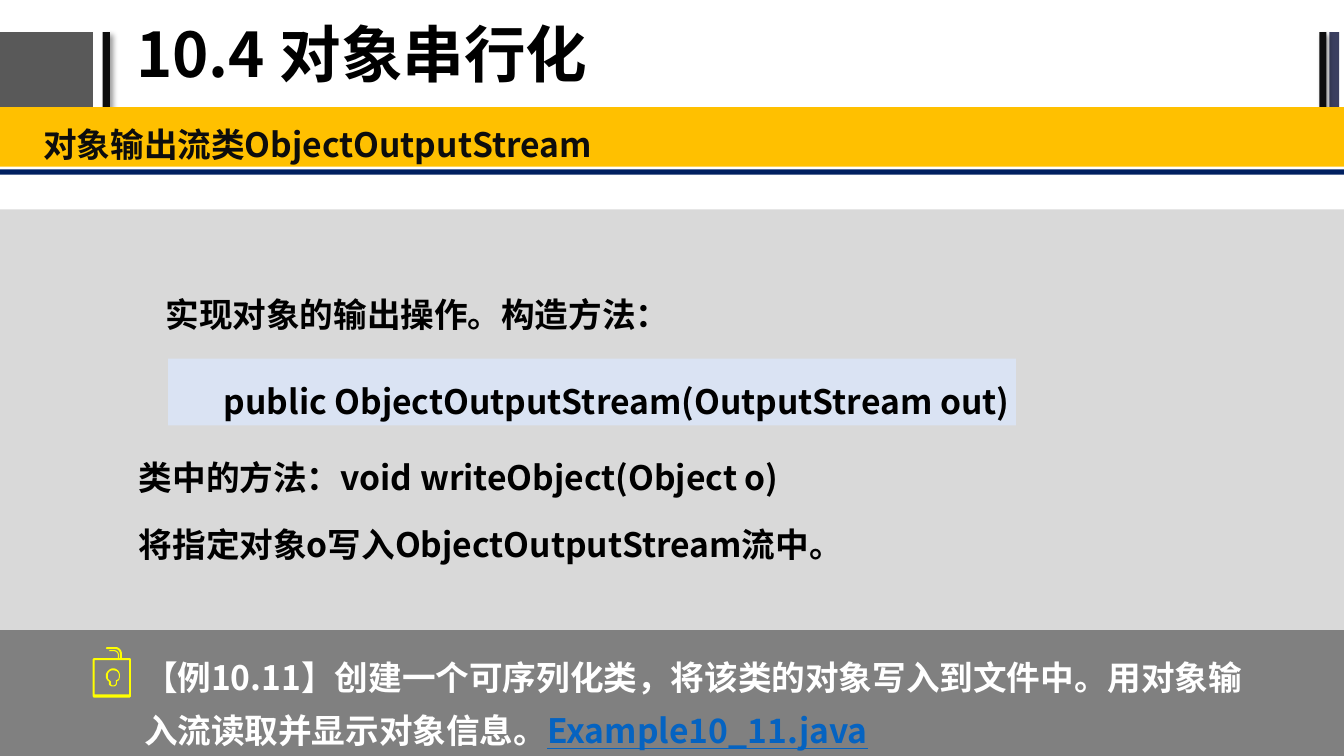
import pptx
import pptx.util
import pptx.dml.color
import pptx.enum.shapes
import pptx.enum.text
import pptx.oxml
import pptx.oxml.ns

Cm, Pt = pptx.util.Cm, pptx.util.Pt
RGBColor = pptx.dml.color.RGBColor
qn = pptx.oxml.ns.qn

FONT = "Noto Sans CJK SC"
BLACK = RGBColor(0x00, 0x00, 0x00)
INK = RGBColor(0x0D, 0x0D, 0x0D)
WHITE = RGBColor(0xFF, 0xFF, 0xFF)
CHARCOAL = RGBColor(0x59, 0x59, 0x59)
SLATE = RGBColor(0x3B, 0x3F, 0x60)
SILVER = RGBColor(0xD9, 0xD9, 0xD9)
GRAY = RGBColor(0x80, 0x80, 0x80)
GOLD = RGBColor(0xFF, 0xC0, 0x00)
NAVY = RGBColor(0x00, 0x20, 0x60)
PALE_BLUE = RGBColor(0xDA, 0xE3, 0xF3)
LINK_BLUE = RGBColor(0x05, 0x63, 0xC1)
YELLOW = RGBColor(0xFF, 0xFF, 0x00)

WIDTH, HEIGHT = 33.87, 19.05  # all lengths in centimetres
HEADER_TOP, HEADER_HEIGHT = 0.81, 1.93
FOOTER_TOP = 15.88

TITLE = "10.4 对象串行化"
SUBTITLE = "对象输出流类ObjectOutputStream"
INTRO = "实现对象的输出操作。构造方法："
CONSTRUCTOR = "public ObjectOutputStream(OutputStream\u00a0out)"
METHOD_LINES = ["类中的方法：void writeObject(Object o)",
                "将指定对象o写入ObjectOutputStream流中。"]
EXAMPLE = "【例10.11】创建一个可序列化类，将该类的对象写入到文件中。用对象输入流读取并显示对象信息。"
EXAMPLE_FILE = "Example10_11.java"

# left, width, colour, has a shadow
HEADER_BLOCKS = [
    (0, 2.34, CHARCOAL, False),
    (2.59, 0.18, INK, True),
    (33.5, 0.25, SLATE, False),
    (33.25, 0.18, INK, True),
]
# left, top, width, height, colour
BANDS = [
    (0, 5.28, WIDTH, 11.3, SILVER),
    (0, 4.27, WIDTH, 0.13, NAVY),
    (0, 2.7, WIDTH, 1.5, GOLD),
    (4.24, 9.04, 21.36, 1.68, PALE_BLUE),
    (0, FOOTER_TOP, WIDTH, HEIGHT - FOOTER_TOP, GRAY),
]

# Icon contours: two numbers are a corner, six are a cubic curve.
ICON_UNIT = Cm(0.0254)
BOX_ICON = [
    [(129, 653), (121, 653), (121, 649), (121, 645, 118, 642, 115, 642),
     (106, 642), (105, 643), (106, 644), (115, 644),
     (117, 644, 119, 646, 119, 649), (119, 653), (118, 653), (118, 650),
     (118, 647, 116, 645, 113, 645), (109, 645), (108, 646), (109, 646),
     (113, 646), (115, 646, 117, 648, 117, 650), (117, 653), (93, 653),
     (92, 654), (92, 691), (93, 692), (129, 692), (130, 691), (130, 654)],
    [(128, 689), (94, 689), (94, 655), (128, 655)],
]
BULB_ICON = [
    [(112, 663), (109, 663, 105, 667, 105, 670),
     (105, 673, 106, 675, 108, 676), (108, 678),
     (108, 680, 110, 681, 112, 681), (113, 681),
     (114, 681, 116, 680, 116, 678), (116, 676),
     (119, 675, 119, 672, 119, 670), (119, 666, 116, 663, 112, 663)],
    [(115, 675), (115, 678), (115, 679, 114, 680, 112, 680),
     (111, 680, 110, 679, 110, 678), (110, 676), (109, 675),
     (107, 674, 107, 672, 107, 670), (107, 667, 109, 665, 112, 665),
     (116, 665, 118, 667, 118, 670), (118, 673, 118, 674, 115, 675)],
]

SHADOW = ('<a:effectLst %s><a:outerShdw blurRad="50800" dist="38100" dir="2700000" '
          'algn="tl" rotWithShape="0"><a:srgbClr val="000000"><a:alpha val="40000"/>'
          '</a:srgbClr></a:outerShdw></a:effectLst>' % pptx.oxml.ns.nsdecls("a"))


def paint(shape, color, shadow=False):
    """Give a shape a plain fill, no line and an optional soft shadow."""
    shape.fill.solid()
    shape.fill.fore_color.rgb = color
    shape.line.fill.background()
    if shadow:
        shape._element.spPr.append(pptx.oxml.parse_xml(SHADOW))
    else:
        shape.shadow.inherit = False


def add_block(page, left, top, width, height, color, shadow=False):
    """Add a filled rectangle."""
    kind = pptx.enum.shapes.MSO_SHAPE.RECTANGLE
    block = page.shapes.add_shape(kind, Cm(left), Cm(top), Cm(width), Cm(height))
    paint(block, color, shadow)


def add_span(para, text, size=24, color=BLACK, underline=None):
    """Add a bold run in the deck's font to a paragraph."""
    span = para.add_run()
    span.text = text
    font = span.font
    font.name, font.size, font.bold = FONT, Pt(size), True
    font.color.rgb = color
    font.underline = underline
    east_asian = pptx.oxml.parse_xml(
        '<a:ea %s typeface="%s"/>' % (pptx.oxml.ns.nsdecls("a"), FONT))
    font._element.find(qn("a:latin")).addnext(east_asian)


def add_text(page, lines, left, top, width, height, color=BLACK,
             spacing=1.5, before=4.8, margin=0, indent=1.27):
    """Add a text box with one paragraph per line and return it."""
    box = page.shapes.add_textbox(Cm(left), Cm(top), Cm(width), Cm(height))
    frame = box.text_frame
    frame.word_wrap = True
    frame.margin_left = frame.margin_right = Cm(0.33)
    frame.margin_top = frame.margin_bottom = Cm(0.18)
    for index, line in enumerate(lines):
        para = frame.add_paragraph() if index else frame.paragraphs[0]
        para.line_spacing = spacing
        para.space_before = Pt(before)
        properties = para._p.get_or_add_pPr()
        properties.set("marL", str(Cm(margin)))
        properties.set("indent", str(Cm(indent)))
        add_span(para, line, color=color)
    return box


def flatten(contour, steps=8):
    """Turn corners and cubic curves into a list of points."""
    points = []
    for item in contour:
        if len(item) == 2:
            points.append(item)
            continue
        x0, y0 = points[-1]
        x1, y1, x2, y2, x3, y3 = item
        for step in range(1, steps + 1):
            t = step / steps
            a, b, c, d = (1 - t) ** 3, 3 * t * (1 - t) ** 2, 3 * t * t * (1 - t), t ** 3
            points.append((a * x0 + b * x1 + c * x2 + d * x3,
                           a * y0 + b * y1 + c * y2 + d * y3))
    return points


def add_icon(page, contours):
    """Draw an outline with a hole as one yellow freeform."""
    # Ten local units per icon unit keep the curves smooth after rounding.
    outlines = [[(10 * x, 10 * y) for x, y in flatten(contour)] for contour in contours]
    builder = page.shapes.build_freeform(*outlines[0][0], scale=ICON_UNIT / 10)
    builder.add_line_segments(outlines[0][1:], close=True)
    for outline in outlines[1:]:
        builder.move_to(*outline[0])
        builder.add_line_segments(outline[1:], close=True)
    paint(builder.convert_to_shape(), YELLOW)


def set_title(page):
    """Place and format the title placeholder."""
    title = page.shapes.title
    title.left, title.top, title.width, title.height = Cm(3.18), Cm(0.05), Cm(21.51), Cm(2.79)
    frame = title.text_frame
    frame.auto_size = pptx.enum.text.MSO_AUTO_SIZE.NONE
    frame.vertical_anchor = pptx.enum.text.MSO_ANCHOR.MIDDLE
    para = frame.paragraphs[0]
    para.alignment = pptx.enum.text.PP_ALIGN.LEFT
    para.line_spacing = 0.9
    add_span(para, TITLE, size=44)


deck = pptx.Presentation()
deck.slide_width, deck.slide_height = Cm(WIDTH), Cm(HEIGHT)
page = deck.slides.add_slide(deck.slide_layouts.get_by_name("Title Only"))

for left, width, color, shadow in HEADER_BLOCKS:
    add_block(page, left, HEADER_TOP, width, HEADER_HEIGHT, color, shadow)
for band in BANDS:
    add_block(page, *band)

set_title(page)
add_text(page, [SUBTITLE], 0.76, 2.74, 33.11, 1.47, color=INK, spacing=1.2, indent=0)
add_text(page, [INTRO], 2.57, 6.71, 28.98, 1.88)
add_text(page, [CONSTRUCTOR], 2.57, 8.92, 25.37, 1.88, margin=1.47)
add_text(page, METHOD_LINES, 1.9, 10.82, 29.62, 3.58)
example = add_text(page, [EXAMPLE], 3.3, 16.08, 28.98, 2.97,
                   color=WHITE, spacing=1.3, before=0, indent=0)
add_span(example.text_frame.paragraphs[0], EXAMPLE_FILE, color=LINK_BLUE, underline=True)

for icon in (BOX_ICON, BULB_ICON):
    add_icon(page, icon)

deck.save("out.pptx")
